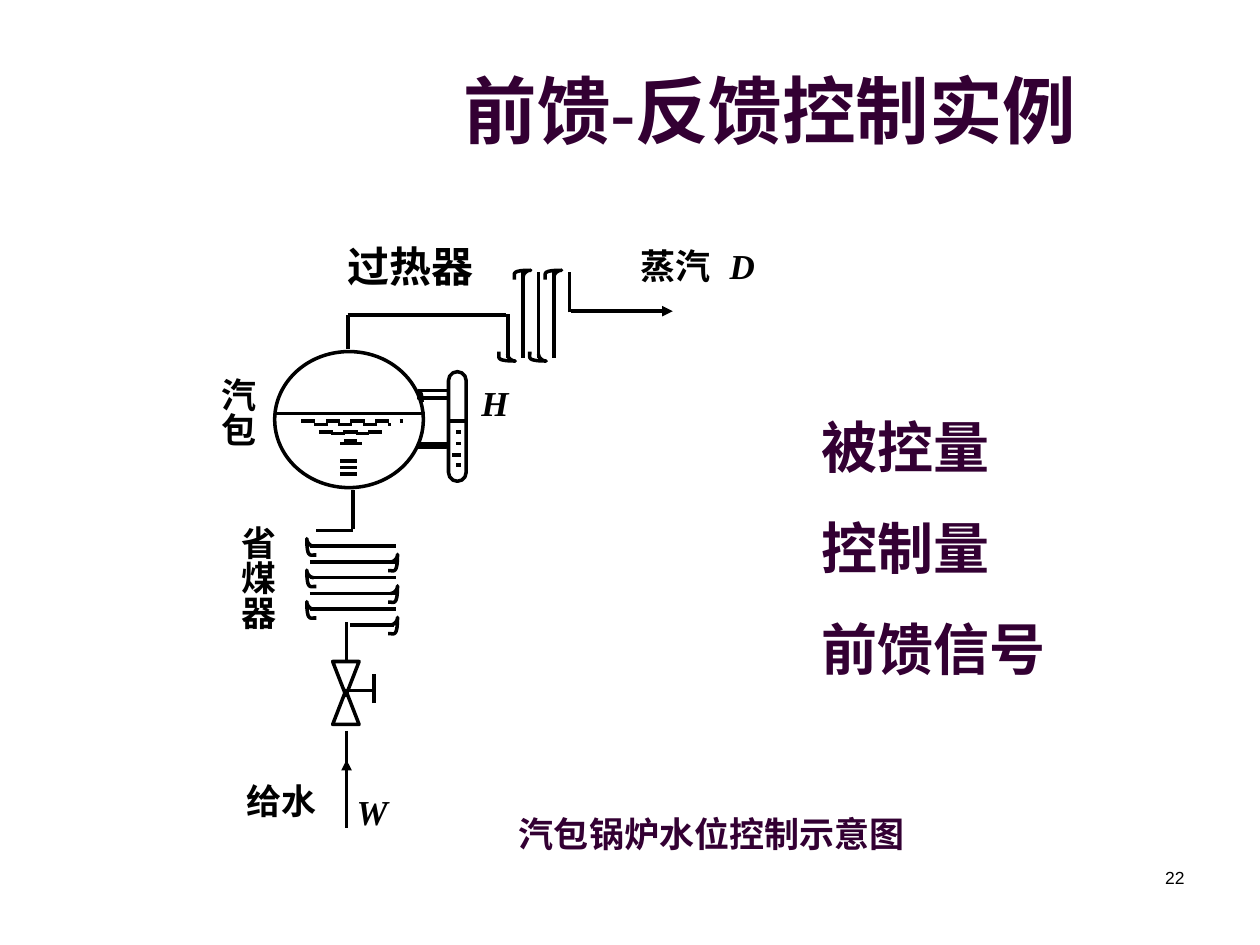
from lxml import etree
from pptx import Presentation
from pptx.dml.color import RGBColor
from pptx.enum.dml import MSO_LINE
from pptx.enum.shapes import MSO_CONNECTOR, MSO_SHAPE
from pptx.enum.text import MSO_ANCHOR, MSO_AUTO_SIZE, PP_ALIGN
from pptx.oxml.ns import qn
from pptx.util import Inches, Pt

STRAIGHT, DASH = MSO_CONNECTOR.STRAIGHT, MSO_LINE.DASH
OVAL, RECTANGLE = MSO_SHAPE.OVAL, MSO_SHAPE.RECTANGLE
ROUNDED, TRIANGLE = MSO_SHAPE.ROUNDED_RECTANGLE, MSO_SHAPE.ISOSCELES_TRIANGLE
LEFT, RIGHT, JUSTIFY = PP_ALIGN.LEFT, PP_ALIGN.RIGHT, PP_ALIGN.JUSTIFY
TOP, MIDDLE, FIXED = MSO_ANCHOR.TOP, MSO_ANCHOR.MIDDLE, MSO_AUTO_SIZE.NONE

COLORS = {"ink": "000000", "plum": "330033"}
SERIF, SANS = "Times New Roman", "Arial"
SLIDE_WIDTH, SLIDE_HEIGHT = Inches(10), Inches(7.5)
COLUMN, ROW = SLIDE_WIDTH / 1000, SLIDE_HEIGHT / 750
LINE_WIDTH = Pt(2)
BODY_INSETS, TIGHT, UPRIGHT = (0.1, 0.05, 0.1, 0.05), (0, 0, 0, 0), (0.01, 0.04, 0.05, 0.04)
HOOK = [(0, 0), (0, 3), (3, 5.5), (6, 5.5), (-9, 5.5), (-7, 3), (-7, 0), (-7, -1), (-7, -1), (-7, -2)]
HOOK_AXES = {
    "top": ((1, 0), (0, -1)),
    "bottom": ((1, 0), (0, 1)),
    "left": ((0, -1), (-1, 0)),
    "right": ((0, -1), (1, 0)),
}


def color(name):
    """Return the named colour."""
    return RGBColor.from_string(COLORS[name])


def place(origin, x, y):
    """Turn a grid point of a region into slide lengths."""
    return round((origin[0] + x) * COLUMN), round((origin[1] + y) * ROW)


def ink_line(line, dashed=False):
    """Give a line the drawing's stroke."""
    line.color.rgb = color("ink")
    line.width = LINE_WIDTH
    if dashed:
        line.dash_style = DASH


def add_line(page, origin, start, end, dashed=False, arrow=False):
    """Draw a straight line between two grid points."""
    line = page.shapes.add_connector(STRAIGHT, *place(origin, *start), *place(origin, *end))
    ink_line(line.line, dashed)
    properties = line.element.spPr
    etree.SubElement(properties, qn("a:effectLst"))
    if arrow:
        etree.SubElement(properties.find(qn("a:ln")), qn("a:tailEnd"), type="triangle")


def outline(shape):
    """Leave only a shape's stroke."""
    shape.fill.background()
    ink_line(shape.line)
    shape.shadow.inherit = False
    return shape


def add_outline(page, origin, kind, x, y, width, height):
    """Draw an unfilled preset shape."""
    return outline(page.shapes.add_shape(kind, *place(origin, x, y), *place((0, 0), width, height)))


def add_curve(page, origin, controls, steps=8):
    """Draw joined cubic curves as a fine open outline."""
    points = [place(origin, *controls[0])]
    for first in range(0, len(controls) - 1, 3):
        a, b, c, d = controls[first:first + 4]
        for step in range(1, steps + 1):
            t = step / steps
            weights = ((1 - t) ** 3, 3 * t * (1 - t) ** 2, 3 * t * t * (1 - t), t ** 3)
            spot = [sum(w * p[axis] for w, p in zip(weights, (a, b, c, d))) for axis in (0, 1)]
            points.append(place(origin, *spot))
    builder = page.shapes.build_freeform(*points[0])
    builder.add_line_segments(points[1:], close=False)
    outline(builder.convert_to_shape())


def add_hook(page, origin, x, y, side):
    """Draw the bend at a tube's end on the given side of a coil."""
    along, outward = HOOK_AXES[side]
    add_curve(page, origin, [
        (x + a * along[0] + b * outward[0], y + a * along[1] + b * outward[1]) for a, b in HOOK])


def write(shape, lines, insets=BODY_INSETS, ink="ink", align=JUSTIFY, spacing=1.0,
          anchor=TOP, font=SERIF, **look):
    """Fill a shape with formatted paragraphs."""
    frame = shape.text_frame
    sides = dict(zip(("margin_left", "margin_top", "margin_right", "margin_bottom"), map(Inches, insets)))
    for name, value in {"word_wrap": True, "auto_size": FIXED, "vertical_anchor": anchor, **sides}.items():
        setattr(frame, name, value)
    for index, line in enumerate(lines):
        para = frame.add_paragraph() if index else frame.paragraphs[0]
        para.alignment, para.line_spacing = align, spacing
        span = para.add_run()
        span.text = line
        for name, value in {"name": font, "size": Pt(20), "bold": True, **look}.items():
            setattr(span.font, name, value)
        span.font.color.rgb = color(ink)


def add_text(page, origin, x, y, width, height, lines, vertical=False, **look):
    """Place a text box on the grid."""
    box = page.shapes.add_textbox(*place(origin, x, y), *place((0, 0), width, height))
    write(box, lines, **look)
    if vertical:
        box.element.txBody.bodyPr.set("vert", "eaVert")


def draw_superheater(page, origin):
    """Draw the steam pipe, the upright coil and their labels."""
    add_line(page, origin, (6, 91), (6, 64))
    add_line(page, origin, (6, 64), (132, 64))
    for index in range(5):
        x = 133 + 12.25 * index
        add_line(page, origin, (x, 95 if index == 4 else 62 if index == 4 else 98), (x, 63 if index == 0 else 30)) \
            if index < 4 else add_line(page, origin, (x, 62), (x, 30))
        if index < 4:
            hook_y, side = (34, "top") if index % 2 else (95, "bottom")
            add_hook(page, origin, x, hook_y, side)
    add_line(page, origin, (183, 61), (264, 61), arrow=True)
    add_text(page, origin, 2, 0, 134, 46, ["过热器"], insets=(0.04, 0.05, 0.04, 0.01), size=Pt(24))
    add_text(page, origin, 238, 8, 61, 45, ["蒸汽"], insets=TIGHT)
    add_text(page, origin, 309, 8, 44, 36, ["D"], insets=TIGHT, italic=True)


def draw_drum(page, origin):
    """Draw the drum with its water and level gauge."""
    add_outline(page, origin, OVAL, 49, 0, 118, 108)
    add_line(page, origin, (50, 49), (168, 49))
    for left, right, y in ((70, 151, 55), (80, 141, 58), (84, 134, 64), (94, 124, 65)):
        add_line(page, origin, (left, y), (right, y), dashed=True)
    for left, right, y in ((104, 114, 71), (101, 118, 73), (101, 114, 87), (101, 114, 92), (101, 114, 97)):
        add_line(page, origin, (left, y), (right, y))
    add_outline(page, origin, ROUNDED, 187, 16, 14, 87).adjustments[0] = 0.5
    add_outline(page, origin, RECTANGLE, 163, 31, 24, 6)
    add_outline(page, origin, RECTANGLE, 163, 73, 22, 3)
    add_curve(page, origin, [(163, 31), (165, 31), (166, 35), (166, 40)])
    for left, right, y in ((187, 200, 55), (193, 197, 64), (193, 197, 73), (190, 197, 82), (193, 197, 90)):
        add_line(page, origin, (left, y), (right, y))
    add_text(page, origin, 213, 24, 40, 39, ["H"], insets=TIGHT, italic=True)
    add_text(page, origin, 0, 17, 41, 71, ["汽包"], vertical=True, insets=UPRIGHT)


def draw_economizer(page, origin):
    """Draw the level coil below the drum and its label."""
    add_line(page, origin, (95, 0), (95, 31))
    ends = {0: (66, 95), 6: (93, 128)}
    for index in range(7):
        y = 32 + 12.5 * index
        left, right = ends.get(index, (61, 129))
        add_line(page, origin, (left, y), (right, y))
        if index:
            x, side = (64, "left") if index % 2 else (125, "right")
            add_hook(page, origin, x, y, side)
    add_text(page, origin, 0, 24, 41, 102, ["省煤器"], vertical=True, insets=UPRIGHT)


def draw_feedwater(page, origin):
    """Draw the valve, the feed pipe and their labels."""
    add_outline(page, origin, TRIANGLE, 68, 31, 21, 27).rotation = 180
    add_outline(page, origin, TRIANGLE, 68, 54, 21, 27)
    for start, end in (((80, 54), (101, 54)), ((101, 64), (101, 41)), ((79, 0), (79, 31)), ((79, 86), (79, 126))):
        add_line(page, origin, start, end)
    add_line(page, origin, (79, 163), (79, 109), arrow=True)
    add_text(page, origin, 0, 125, 61, 42, ["给水"], insets=TIGHT)
    add_text(page, origin, 87, 133, 44, 36, ["W"], insets=TIGHT, italic=True)


def write_texts(page, origin):
    """Set the title, the list of variables, the caption and the page number."""
    title = page.shapes.title
    title.left, title.top = place(origin, 358, 44)
    title.width, title.height = place((0, 0), 592, 85)
    write(title, ["前馈-反馈控制实例"], ink="plum", align=LEFT, anchor=MIDDLE, size=Pt(42))
    add_text(page, origin, 642, 296, 208, 250, ["被控量", "控制量", "前馈信号"],
             ink="plum", align=LEFT, spacing=1.5, size=Pt(32))
    add_text(page, origin, 402, 640, 408, 44, ["汽包锅炉水位控制示意图"], ink="plum", align=LEFT)
    add_text(page, origin, 742, 683, 208, 50, ["22"], align=RIGHT, font=SANS, size=Pt(10), bold=False)


def main():
    """Build and save the deck."""
    deck = Presentation()
    deck.slide_width, deck.slide_height = SLIDE_WIDTH, SLIDE_HEIGHT
    page = deck.slides.add_slide(deck.slide_layouts.get_by_name("Title Only"))
    write_texts(page, (0, 0))
    draw_superheater(page, (270, 186))
    draw_drum(page, (169, 279))
    draw_economizer(page, (185, 389))
    draw_feedwater(page, (196, 494))
    deck.save("out.pptx")


if __name__ == "__main__":
    main()
